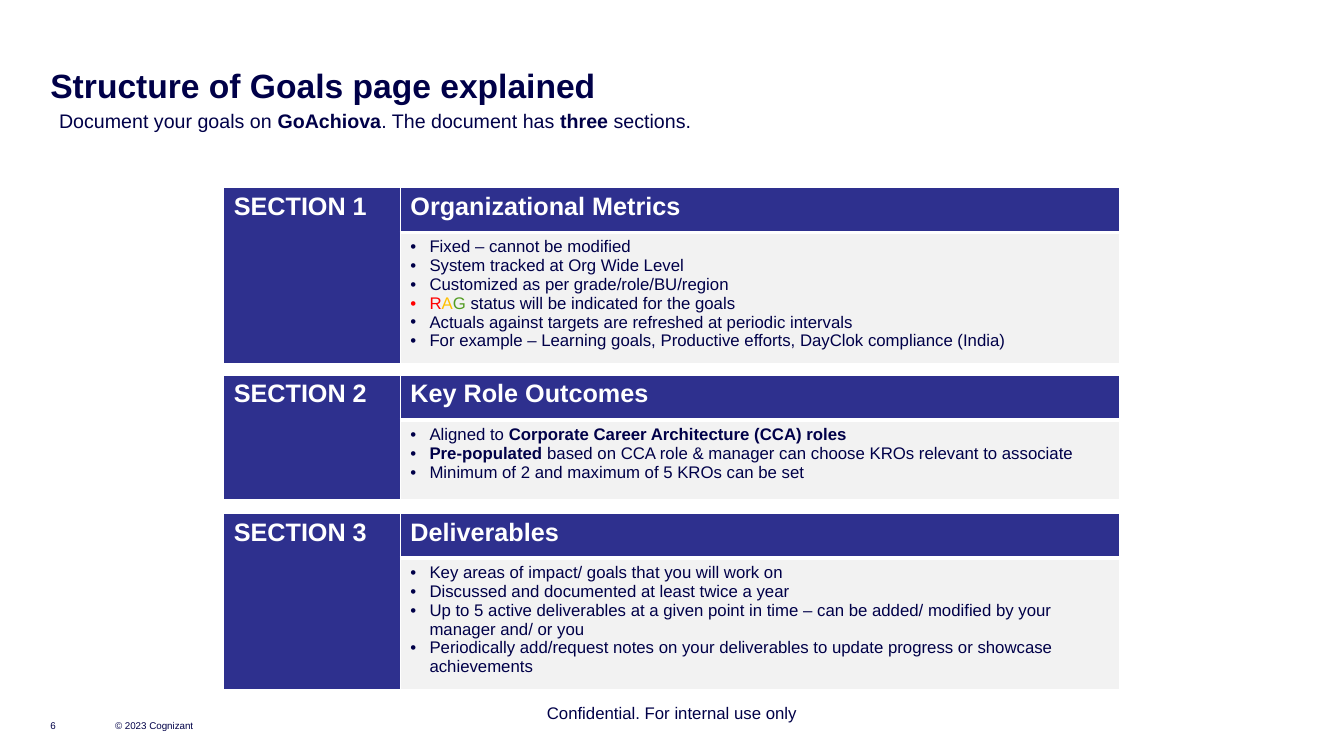
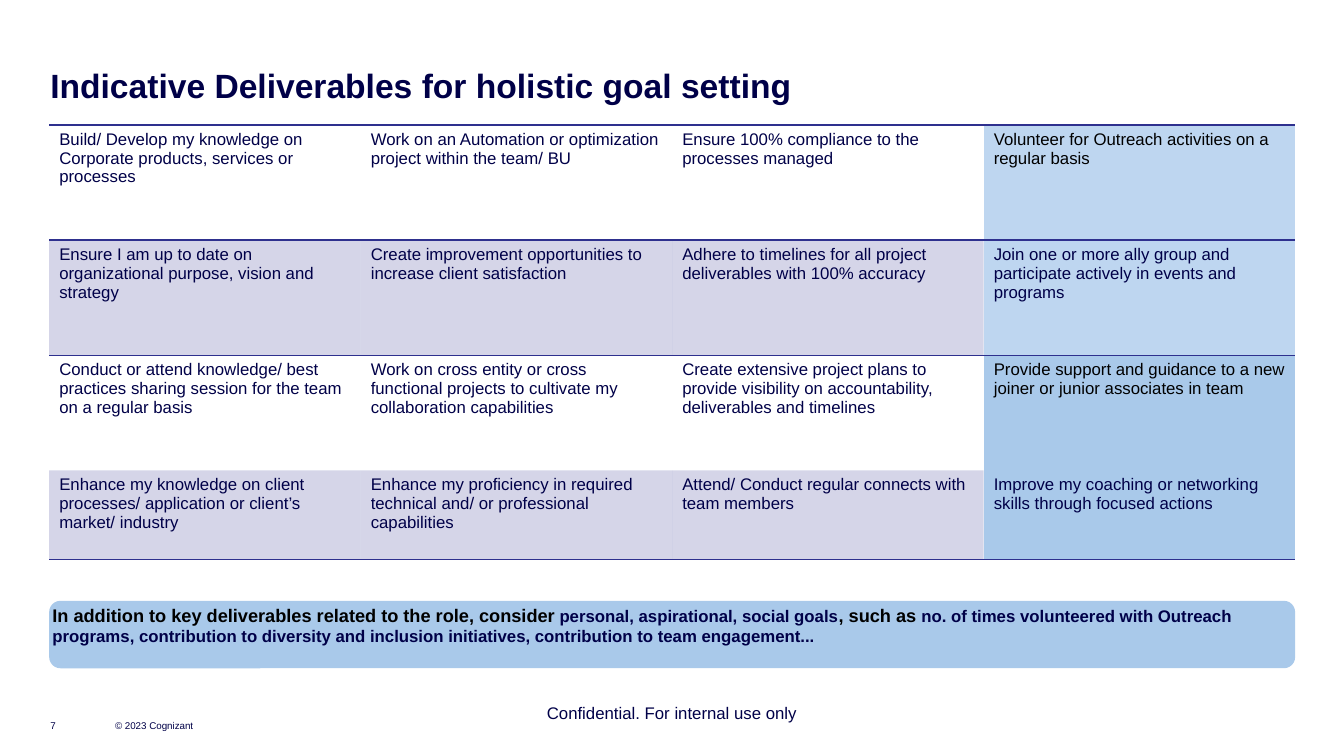
from dataclasses import dataclass

from lxml.etree import SubElement
from pptx import Presentation
from pptx.dml.color import RGBColor as Rgb
from pptx.enum.shapes import MSO_SHAPE as Preset
from pptx.enum.text import MSO_ANCHOR as Anchor, PP_ALIGN as Align
from pptx.oxml import parse_xml
from pptx.oxml.ns import nsdecls, qn
from pptx.util import Cm, Pt

NO_STYLE = "{2D5ABB26-0587-4C30-8999-92F81FD0307C}"


@dataclass(frozen=True)
class Theme:
    font: str = "Arial"
    ink: str = "000048"
    indigo: str = "2E308E"
    white: str = "FFFFFF"
    black: str = "000000"
    panel: str = "F2F2F2"
    pale_blue: str = "BED6F0"
    sky: str = "A9C9EA"
    red: str = "FF0000"
    amber: str = "FFC000"
    green: str = "529C21"
    title: int = 24
    heading: int = 18
    lead: int = 14
    callout: int = 13
    body: int = 12
    tiny: int = 7


THEME = Theme()


def bold(text):
    return text, {"bold": True}


def write(frame, text, *, size=THEME.body, color=THEME.ink, bold=False,
          align=Align.LEFT, bullet=False):
    """Fill a text frame; text is a list of paragraphs, each a list of runs.

    A plain string stands for one paragraph; a run is a string or (string, format).
    """
    paragraphs = [text] if isinstance(text, str) else text
    for index, runs in enumerate(paragraphs):
        paragraph = frame.paragraphs[0] if index == 0 else frame.add_paragraph()
        paragraph.alignment = align
        if bullet:
            properties = paragraph._p.get_or_add_pPr()
            properties.set("marL", str(Cm(0.48)))
            properties.set("indent", str(-Cm(0.48)))
            SubElement(properties, qn("a:buFont"), typeface=THEME.font)
            SubElement(properties, qn("a:buChar"), char="•")
        for part in [runs] if isinstance(runs, str) else runs:
            words, own = (part, {}) if isinstance(part, str) else part
            style = {"size": size, "color": color, "bold": bold} | own
            run = paragraph.add_run()
            run.text = words
            run.font.name = THEME.font
            run.font.size = Pt(style["size"])
            run.font.bold = style["bold"]
            run.font.color.rgb = Rgb.from_string(style["color"])


def paint(cell, color=None, opacity=100):
    if color is None:
        cell.fill.background()
        return
    cell.fill.solid()
    cell.fill.fore_color.rgb = Rgb.from_string(color)
    if opacity < 100:
        swatch = cell._tc.tcPr.find(".//" + qn("a:srgbClr"))
        SubElement(swatch, qn("a:alpha"), val=str(opacity * 1000))


def border(cell, color, **widths):
    """Draw cell edges; widths are points, keyed by side L, R, T or B."""
    properties = cell._tc.get_or_add_tcPr()
    drawn = [side for side in "LRTB" if side in widths]
    for place, side in enumerate(drawn):
        properties.insert(place, parse_xml(
            f'<a:ln{side} {nsdecls("a")} w="{Pt(widths[side])}"><a:solidFill>'
            f'<a:srgbClr val="{color}"/></a:solidFill></a:ln{side}>'))


class Deck:
    def __init__(self):
        self.presentation = Presentation()
        self.presentation.slide_width = Cm(33.87)
        self.presentation.slide_height = Cm(19.05)
        self.slide = None

    def new_slide(self, title, number):
        blank = self.presentation.slide_layouts[6]
        self.slide = self.presentation.slides.add_slide(blank)
        self.label("Confidential. For internal use only", 8.47, 17.58, 16.93, 0.76,
                   align=Align.CENTER)
        for left, width, note in ((2.9, 3.33, "© 2023 Cognizant"), (1.27, 1, str(number))):
            self.label(note, left, 17.4, width, 1.02, inset=False,
                       anchor=Anchor.BOTTOM, size=THEME.tiny)
        self.label(title, 1.27, 1.63, 30.02, 0.86, inset=False,
                   size=THEME.title, bold=True)

    def label(self, text, left, top, width, height, *, inset=True,
              anchor=Anchor.TOP, **style):
        box = self.slide.shapes.add_textbox(Cm(left), Cm(top), Cm(width), Cm(height))
        self.fill_frame(box.text_frame, text, inset, anchor, **style)

    def fill_frame(self, frame, text, inset, anchor, **style):
        frame.word_wrap = True
        frame.vertical_anchor = anchor
        if not inset:
            frame.margin_left = frame.margin_right = 0
            frame.margin_top = frame.margin_bottom = 0
        write(frame, text, **style)

    def table(self, left, top, widths, heights):
        table = self.slide.shapes.add_table(
            len(heights), len(widths), Cm(left), Cm(top),
            Cm(sum(widths)), Cm(sum(heights))).table
        table.first_row = table.horz_banding = False
        table._tbl.tblPr.find(qn("a:tableStyleId")).text = NO_STYLE
        for column, width in zip(table.columns, widths):
            column.width = Cm(width)
        for row, height in zip(table.rows, heights):
            row.height = Cm(height)
        return table

    def section(self, name, heading, points, top, header, body):
        table = self.table(5.64, top, (4.45, 18.13), (header, body))
        for cell in table.iter_cells():
            paint(cell, THEME.indigo)
        table.cell(0, 0).merge(table.cell(1, 0))
        for column, text in enumerate((name, heading)):
            write(table.cell(0, column).text_frame, text, size=THEME.heading,
                  color=THEME.white, bold=True)
        details = table.cell(1, 1)
        paint(details, THEME.panel)
        write(details.text_frame, points, bullet=True)
        for column in (0, 1):
            border(table.cell(0, column), THEME.white, L=1, R=1, T=1, B=3 if column else 1)
            border(table.cell(1, column), THEME.white, L=1, R=1, T=3 if column else 1, B=1)

    def goal_grid(self, rows, left, top, column_width, heights):
        table = self.table(left, top, [column_width] * len(rows[0]), heights)
        last_column = len(rows[0]) - 1
        edges = {0: {"T": 1, "B": 1}, 1: {"T": 1}, len(rows) - 1: {"B": 1}}
        for r, goals in enumerate(rows):
            shaded = r % 2 == 1
            for c, goal in enumerate(goals):
                cell = table.cell(r, c)
                social = c == last_column
                if social:
                    paint(cell, THEME.pale_blue if r < 2 else THEME.sky)
                elif shaded:
                    paint(cell, THEME.indigo, opacity=20)
                else:
                    paint(cell)
                write(cell.text_frame, goal,
                      color=THEME.black if social and not shaded else THEME.ink)
                border(cell, THEME.indigo, **edges.get(r, {}))

    def callout(self, text, left, top, width, height, **style):
        bar = self.slide.shapes.add_shape(Preset.ROUNDED_RECTANGLE, Cm(left), Cm(top),
                                          Cm(width), Cm(height))
        bar.shadow.inherit = False
        bar.fill.solid()
        bar.fill.fore_color.rgb = Rgb.from_string(THEME.sky)
        bar.line.fill.background()
        self.fill_frame(bar.text_frame, text, False, Anchor.TOP, **style)


SECTIONS = (
    ("Organizational Metrics", 3.26, [
        "Fixed – cannot be modified",
        "System tracked at Org Wide Level",
        "Customized as per grade/role/BU/region",
        [("R", {"color": THEME.red}), ("A", {"color": THEME.amber}),
         ("G", {"color": THEME.green}), " status will be indicated for the goals"],
        "Actuals against targets are refreshed at periodic intervals",
        "For example – Learning goals, Productive efforts, DayClok compliance (India)",
    ]),
    ("Key Role Outcomes", 2.01, [
        ["Aligned to ", bold("Corporate Career Architecture (CCA) roles")],
        [bold("Pre-populated "),
         "based on CCA role & manager can choose KROs relevant to associate"],
        "Minimum of 2 and maximum of 5 KROs can be set",
    ]),
    ("Deliverables", 3.3, [
        "Key areas of impact/ goals that you will work on",
        "Discussed and documented at least twice a year",
        "Up to 5 active deliverables at a given point in time – can be added/ modified "
        "by your manager and/ or you",
        "Periodically add/request notes on your deliverables to update progress or "
        "showcase achievements",
    ]),
)

GOALS = (
    ("Build/ Develop my knowledge on Corporate products, services or processes",
     "Work on an Automation or optimization project within the team/ BU",
     "Ensure 100% compliance to the processes managed",
     "Volunteer for Outreach activities on a regular basis"),
    ("Ensure I am up to date on organizational purpose, vision and strategy",
     "Create improvement opportunities to increase client satisfaction",
     "Adhere to timelines for all project deliverables with 100% accuracy",
     "Join one or more ally group and participate actively in events and programs"),
    ("Conduct or attend knowledge/ best practices sharing session for the team "
     "on a regular basis",
     "Work on cross entity or cross functional projects to cultivate my "
     "collaboration capabilities",
     "Create extensive project plans to provide visibility on accountability, "
     "deliverables and timelines",
     "Provide support and guidance to a new joiner or junior associates in team"),
    ("Enhance my knowledge on client processes/ application or client’s market/ industry",
     "Enhance my proficiency in required technical and/ or professional capabilities",
     "Attend/ Conduct regular connects with team members",
     "Improve my coaching or networking skills through focused actions"),
)


def structure_slide(deck):
    deck.new_slide("Structure of Goals page explained", 6)
    deck.label([["Document your goals on ", bold("GoAchiova"), ". The document has ",
                 bold("three"), " sections."]],
               1.24, 2.62, 31.34, 0.86, size=THEME.lead)
    top, header, gap = 4.72, 1.14, 0.33
    for number, (heading, body, points) in enumerate(SECTIONS, start=1):
        deck.section(f"SECTION {number}", heading, points, top, header, body)
        top += header + body + gap


def deliverables_slide(deck):
    deck.new_slide("Indicative Deliverables for holistic goal setting", 7)
    left, column_width = 1.24, 7.85
    deck.goal_grid(GOALS, left, 3.15, column_width, (2.9, 2.9, 2.9, 2.24))
    lead = {"size": THEME.callout, "color": THEME.black}
    deck.callout([[
        ("In addition to key deliverables related to the role, consider ", lead),
        "personal, aspirational, social goals",
        (", such as ", lead),
        "no. of times volunteered with Outreach programs, contribution to diversity "
        "and inclusion initiatives, contribution to team engagement...",
    ]], left, 15.14, 4 * column_width, 1.7, bold=True)


def main():
    deck = Deck()
    structure_slide(deck)
    deliverables_slide(deck)
    deck.presentation.save("out.pptx")


if __name__ == "__main__":
    main()
